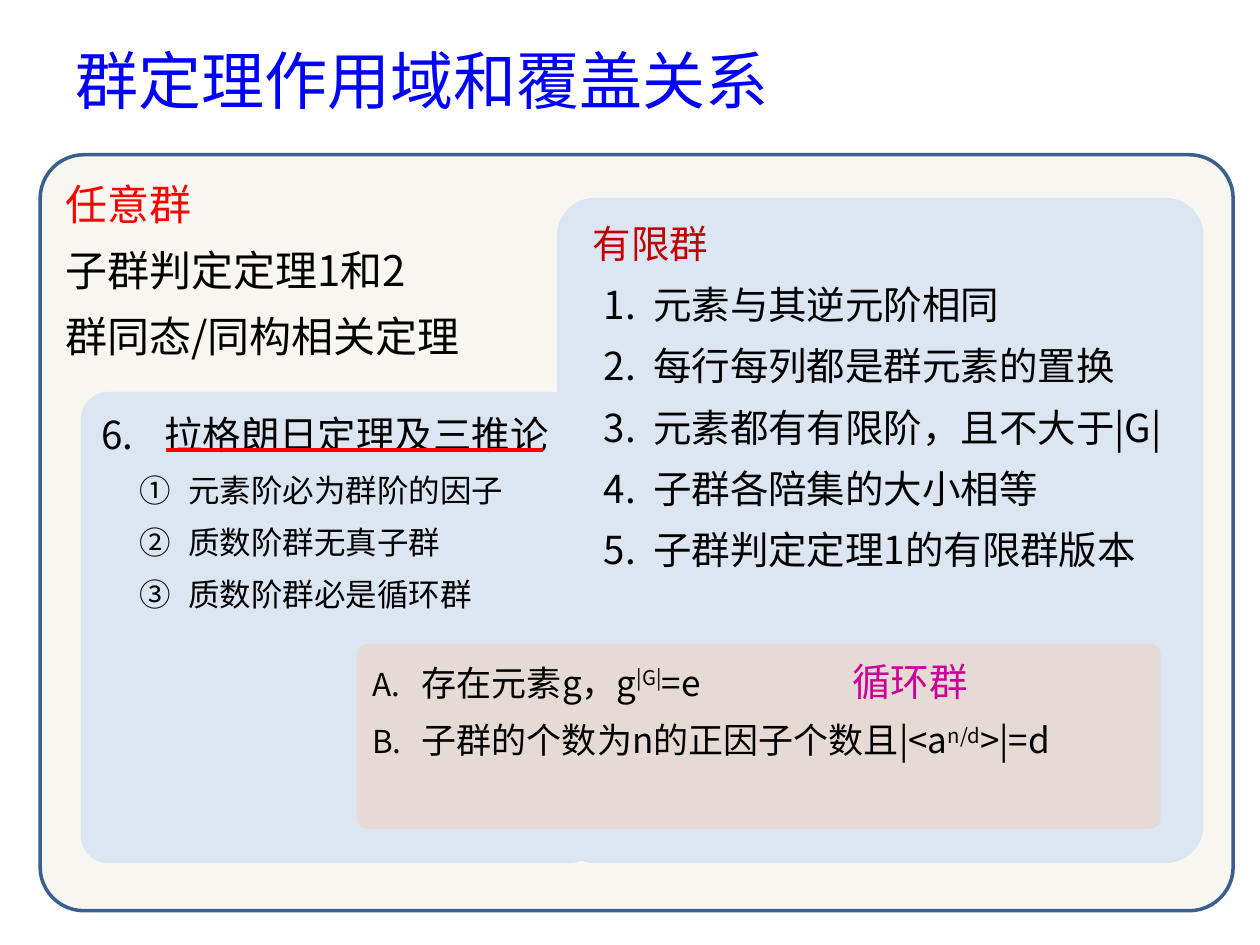
from lxml import etree
from pptx import Presentation
from pptx.dml.color import RGBColor
from pptx.enum.shapes import MSO_CONNECTOR, MSO_SHAPE
from pptx.enum.text import MSO_ANCHOR, PP_ALIGN
from pptx.oxml.ns import qn
from pptx.util import Cm, Pt

ROUNDED = MSO_SHAPE.ROUNDED_RECTANGLE
STRAIGHT = MSO_CONNECTOR.STRAIGHT
TOP, MIDDLE, LEFT = MSO_ANCHOR.TOP, MSO_ANCHOR.MIDDLE, PP_ALIGN.LEFT

FONT = "Noto Sans CJK SC"
BLACK = RGBColor(0x00, 0x00, 0x00)
BLUE = RGBColor(0x00, 0x00, 0xFF)
RED = RGBColor(0xFF, 0x00, 0x00)
DARK_RED = RGBColor(0xC0, 0x00, 0x00)
MAGENTA = RGBColor(0xCC, 0x00, 0x99)
OUTLINE = RGBColor(0x3A, 0x5F, 0x8C)
CREAM = RGBColor(0xEE, 0xEC, 0xE1)
PALE_BLUE = RGBColor(0xDC, 0xE6, 0xF2)
ORANGE = RGBColor(0xFA, 0xC0, 0x90)


def add_run(paragraph, text, size, color=BLACK, raised=False):
    """Append a run in the slide font, optionally as superscript."""
    run = paragraph.add_run()
    run.text = text
    run.font.size = Pt(size)
    run.font.name = FONT
    run.font.color.rgb = color
    properties = run._r.get_or_add_rPr()
    etree.SubElement(properties, qn("a:ea"), typeface=FONT)
    if raised:
        properties.set("baseline", "30000")


def add_panel(shapes, box, fill, opacity=100):
    """Add an empty rounded panel at box, given in centimetres."""
    panel = shapes.add_shape(ROUNDED, *map(Cm, box))
    panel.adjustments[0] = 0.058
    panel.shadow.inherit = False
    panel.fill.solid()
    panel.fill.fore_color.rgb = fill
    panel.line.fill.background()
    if opacity < 100:
        color = panel._element.spPr.find(".//" + qn("a:srgbClr"))
        etree.SubElement(color, qn("a:alpha"), val=str(opacity * 1000))
    panel.text_frame.word_wrap = True
    panel.text_frame.vertical_anchor = TOP
    return panel


def add_line(panel, runs, margin=0, hanging=0, numbering=None, start=1,
             level=0, number_size=100, tab=None):
    """Write one paragraph of runs into a panel, numbered if asked."""
    frame = panel.text_frame
    paragraph = frame.paragraphs[0]
    if paragraph.runs:
        paragraph = frame.add_paragraph()
    paragraph.alignment = LEFT
    paragraph.level = level
    paragraph.line_spacing = 1.1
    paragraph.space_after = Pt(6)
    properties = paragraph._p.get_or_add_pPr()
    properties.set("marL", str(Cm(margin)))
    properties.set("indent", str(-Cm(hanging)))
    if number_size != 100:
        etree.SubElement(properties, qn("a:buSzPct"), val=str(number_size * 1000))
    if numbering:
        number = etree.SubElement(properties, qn("a:buAutoNum"), type=numbering)
        if start > 1:
            number.set("startAt", str(start))
    if tab:
        tabs = etree.SubElement(properties, qn("a:tabLst"))
        etree.SubElement(tabs, qn("a:tab"), pos=str(Cm(tab)), algn="l")
    for run in runs:
        add_run(paragraph, *run)


def fill_title(title, box):
    """Place the title placeholder and write the heading."""
    title.left, title.top, title.width, title.height = map(Cm, box)
    title.text_frame.vertical_anchor = MIDDLE
    paragraph = title.text_frame.paragraphs[0]
    paragraph.alignment = LEFT
    add_run(paragraph, "群定理作用域和覆盖关系", 36, BLUE)


def add_any_group(shapes, box):
    """Add the outer panel on arbitrary groups."""
    panel = add_panel(shapes, box, CREAM, opacity=47)
    panel.line.color.rgb = OUTLINE
    panel.line.width = Pt(2)
    add_line(panel, [("任意群", 24, RED)])
    for theorem in ("子群判定定理1和2", "群同态/同构相关定理"):
        add_line(panel, [(theorem, 24)])


def add_finite_group(shapes, box):
    """Add the panel listing the theorems on finite groups."""
    panel = add_panel(shapes, box, PALE_BLUE)
    add_line(panel, [("有限群", 22, DARK_RED)], margin=0.25)
    for theorem in ("元素与其逆元阶相同", "每行每列都是群元素的置换",
                    "元素都有有限阶，且不大于|G|", "子群各陪集的大小相等",
                    "子群判定定理1的有限群版本"):
        add_line(panel, [(theorem, 22)], 1.47, 1, "arabicPeriod")


def add_lagrange(shapes, box):
    """Add the panel with Lagrange's theorem and its corollaries."""
    panel = add_panel(shapes, box, PALE_BLUE)
    add_line(panel, [("拉格朗日定理及三推论", 22)], 1.27, 1.27, "arabicPeriod", start=6)
    for corollary in ("元素阶必为群阶的因子", "质数阶群无真子群", "质数阶群必是循环群"):
        add_line(panel, [(corollary, 18)], 1.75, 0.97, "circleNumDbPlain", level=1)


def add_cyclic_group(shapes, box):
    """Add the panel on cyclic groups."""
    panel = add_panel(shapes, box, ORANGE, opacity=30)
    existence = [("存在元素g，g", 20), ("|G|", 20, BLACK, True), ("=e\t", 20),
                 ("循环群", 22, MAGENTA)]
    subgroups = [("子群的个数为n的正因子个数且|<a", 20), ("n/d", 20, BLACK, True),
                 (">|=d", 20)]
    for runs, tab in ((existence, 9.68), (subgroups, None)):
        add_line(panel, runs, 1, 1, "alphaUcPeriod", number_size=90, tab=tab)


def add_lagrange_underline(shapes, box):
    """Underline the heading of the Lagrange panel at box."""
    left, top = box[:2]
    y = Cm(top + 1.17)
    underline = shapes.add_connector(STRAIGHT, Cm(left + 1.72), y, Cm(left + 9.32), y)
    underline.line.color.rgb = RED
    underline.line.width = Pt(2.25)
    etree.SubElement(underline._element.spPr, qn("a:effectLst"))


def main():
    """Build and save the slide."""
    deck = Presentation()
    deck.slide_width, deck.slide_height = Cm(25.4), Cm(19.05)
    slide = deck.slides.add_slide(deck.slide_layouts[5])
    shapes = slide.shapes
    lagrange_box = (1.63, 7.9, 10.41, 9.5)
    add_any_group(shapes, (0.81, 3.12, 24.05, 15.24))
    fill_title(shapes.title, (1.27, 0.69, 22.86, 1.8))
    finite_region = shapes.add_group_shape().shapes
    add_finite_group(finite_region, (11.23, 3.99, 13.03, 13.41))
    add_lagrange(finite_region, lagrange_box)
    add_cyclic_group(shapes, (7.19, 12.98, 16.21, 3.73))
    add_lagrange_underline(shapes, lagrange_box)
    deck.save("out.pptx")


if __name__ == "__main__":
    main()
